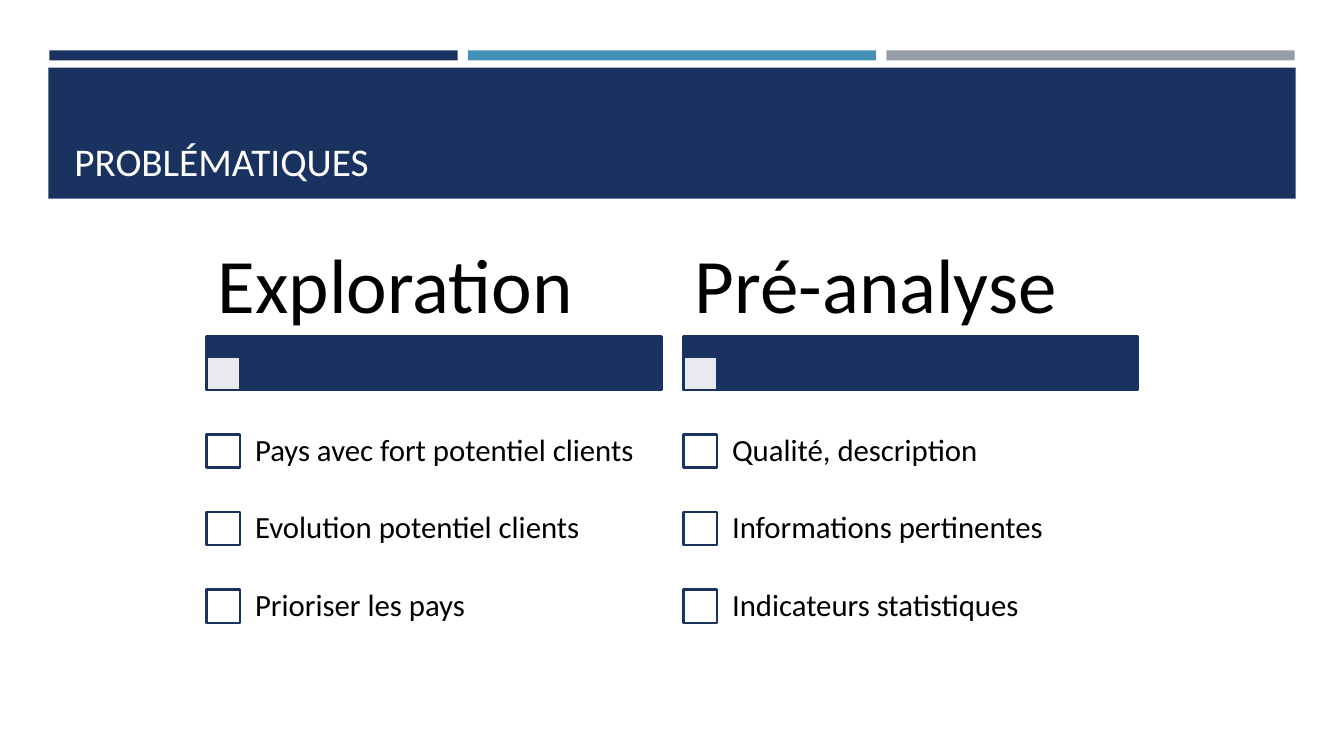
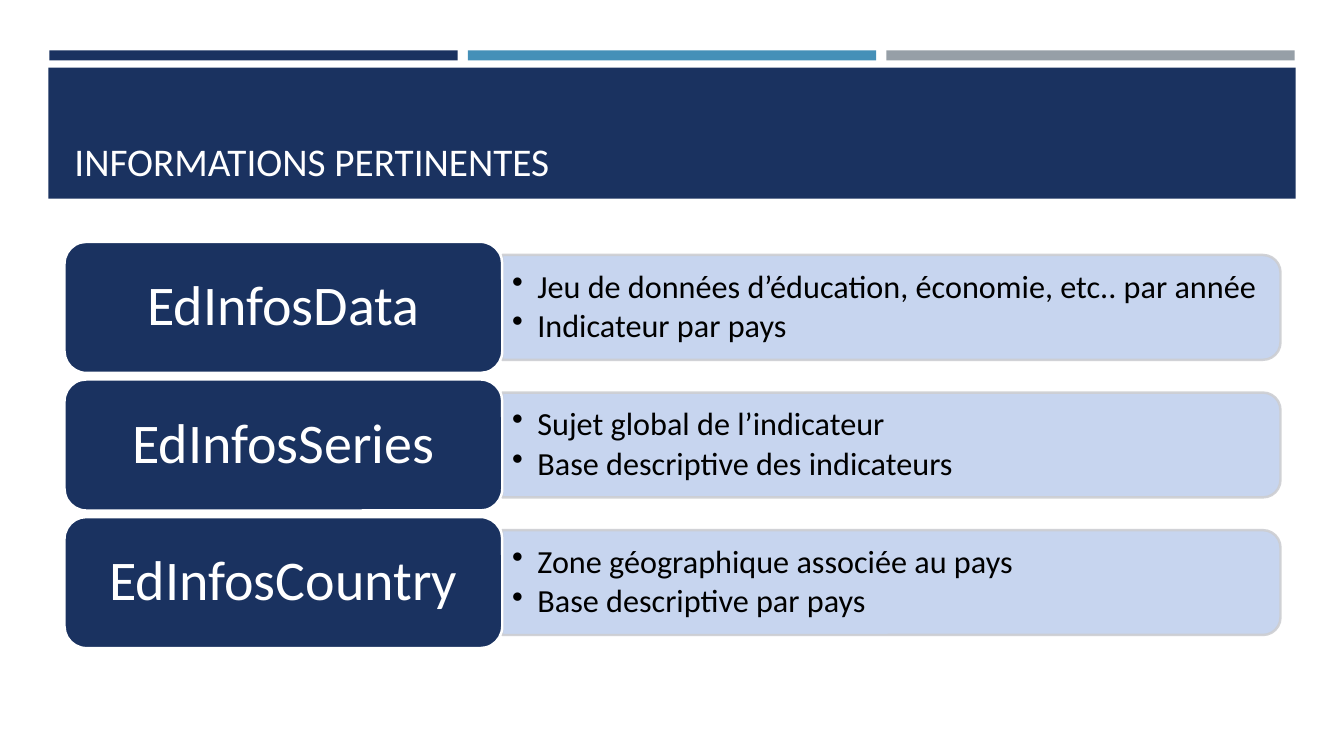
import pptx
import pptx.dml.color
import pptx.enum.shapes
import pptx.enum.text
import pptx.oxml.ns
import pptx.util
from lxml import etree

Inches = pptx.util.Inches
Pt = pptx.util.Pt
RGBColor = pptx.dml.color.RGBColor
SHAPE = pptx.enum.shapes.MSO_SHAPE
ALIGN = pptx.enum.text.PP_ALIGN
ANCHOR = pptx.enum.text.MSO_ANCHOR
qn = pptx.oxml.ns.qn

NAVY = RGBColor(0x1A, 0x32, 0x60)
BLUE = RGBColor(0x45, 0x90, 0xB8)
GRAY = RGBColor(0x96, 0x9F, 0xA7)
PALE = RGBColor(0xC2, 0xD1, 0xEE)
EDGE = RGBColor(0xCD, 0xCE, 0xD2)
WHITE = RGBColor(0xFF, 0xFF, 0xFF)
BLACK = RGBColor(0x00, 0x00, 0x00)
FONT = "Calibri"

COLUMNS = [
    ("Exploration", ["Pays avec fort potentiel clients",
                     "Evolution potentiel clients",
                     "Prioriser les pays"]),
    ("Pré-analyse", ["Qualité, description",
                     "Informations pertinentes",
                     "Indicateurs statistiques"]),
]
ROWS = [
    ("EdInfosData", ["Jeu de données d’éducation, économie, etc.. par année",
                     "Indicateur par pays"]),
    ("EdInfosSeries", ["Sujet global de l’indicateur",
                       "Base descriptive des indicateurs"]),
    ("EdInfosCountry", ["Zone géographique associée au pays",
                        "Base descriptive par pays"]),
]


def set_alpha(fill_format_parent, percent):
    color = fill_format_parent.find(qn("a:solidFill"))[0]
    etree.SubElement(color, qn("a:alpha"), val=str(percent * 1000))


def add_box(slide, kind, left, top, width, height, fill, line=None, alpha=None):
    sp = slide.shapes.add_shape(kind, Inches(left), Inches(top), Inches(width), Inches(height))
    sp.shadow.inherit = False
    sp.fill.solid()
    sp.fill.fore_color.rgb = fill
    if line is None:
        sp.line.fill.background()
    else:
        sp.line.color.rgb = line
        sp.line.width = Pt(1.75)
    if alpha is not None:
        set_alpha(sp.fill._xPr, alpha)
    return sp


def write(sp, lines, size, color, inset=(0.1, 0.05), anchor=ANCHOR.MIDDLE,
          align=ALIGN.LEFT, spacing=0.9, bullets=False):
    tf = sp.text_frame
    tf.word_wrap = True
    tf.vertical_anchor = anchor
    tf.margin_left = tf.margin_right = Inches(inset[0])
    tf.margin_top = tf.margin_bottom = Inches(inset[1])
    tf.text = "\n".join(lines)
    for p in tf.paragraphs:
        p.alignment = align
        p.line_spacing = spacing
        if bullets:
            p.space_after = Pt(size * 0.15)
            pPr = p._p.get_or_add_pPr()
            pPr.set("marL", str(Inches(0.25)))
            pPr.set("indent", str(-Inches(0.25)))
            etree.SubElement(pPr, qn("a:buChar"), char="•")
        for r in p.runs:
            r.font.name = FONT
            r.font.size = Pt(size)
            r.font.color.rgb = color


def add_text(slide, left, top, width, height, lines, size, color, **style):
    sp = slide.shapes.add_textbox(Inches(left), Inches(top), Inches(width), Inches(height))
    write(sp, lines, size, color, **style)


def add_titled_slide(prs, title):
    slide = prs.slides.add_slide(prs.slide_layouts[6])
    for i, color in enumerate((NAVY, BLUE, GRAY)):
        add_box(slide, SHAPE.RECTANGLE, 0.49 + i * 4.15, 0.5, 4.05, 0.1, color)
    add_box(slide, SHAPE.RECTANGLE, 0.48, 0.67, 12.37, 1.3, NAVY)
    add_text(slide, 0.64, 0.77, 12.06, 1.11, [title], 28, WHITE,
             anchor=ANCHOR.BOTTOM, spacing=1.0)
    return slide


def add_checklist(slide, left, top, width, heading, items):
    check, bar_top, bar_height, pitch = 0.33, top + 0.95, 0.53, 0.77
    add_box(slide, SHAPE.RECTANGLE, left, bar_top, width, bar_height, NAVY, NAVY)
    add_box(slide, SHAPE.RECTANGLE, left, bar_top + bar_height - check, check, check,
            WHITE, NAVY, alpha=90)
    add_text(slide, left, top, width, 0.95, [heading], 55, BLACK, inset=(0.11, 0.08))
    for i, item in enumerate(items):
        row_top = top + 1.7 + i * pitch
        add_box(slide, SHAPE.RECTANGLE, left, row_top + (pitch - check) / 2, check, check,
                WHITE, NAVY)
        add_text(slide, left + 0.31, row_top, width - 0.32, pitch, [item], 22, BLACK,
                 inset=(0.17, 0.17))


def add_source_row(slide, left, top, width, height, name, details):
    name_width = width * 0.36
    panel_left, panel_width = left + name_width, width - name_width
    panel_height = height * 0.8
    middle = top + height / 2
    panel = add_box(slide, SHAPE.ROUND_2_SAME_RECTANGLE,
                    panel_left + (panel_width - panel_height) / 2, middle - panel_width / 2,
                    panel_height, panel_width, PALE, EDGE, alpha=90)
    panel.rotation = 90
    set_alpha(panel.line._ln, 90)
    add_text(slide, panel_left, middle - 0.47, panel_width - 0.05, 0.94, details, 23, BLACK,
             bullets=True)
    label = add_box(slide, SHAPE.ROUNDED_RECTANGLE, left, top, name_width, height, NAVY, WHITE)
    write(label, [name], 40, WHITE, inset=(0.17, 0.08), align=ALIGN.CENTER)


def build_issues(prs):
    slide = add_titled_slide(prs, "PROBLÉMATIQUES")
    for i, (heading, items) in enumerate(COLUMNS):
        add_checklist(slide, 2.05 + i * 4.73, 2.39, 4.51, heading, items)


def build_sources(prs):
    slide = add_titled_slide(prs, "INFORMATIONS PERTINENTES")
    height = 1.3
    for i, (name, details) in enumerate(ROWS):
        add_source_row(slide, 0.64, 2.4 + i * height * 1.05, 12.06, height, name, details)


def main():
    prs = pptx.Presentation()
    prs.slide_width = Inches(13.33)
    prs.slide_height = Inches(7.5)
    build_issues(prs)
    build_sources(prs)
    prs.save("out.pptx")


if __name__ == "__main__":
    main()
